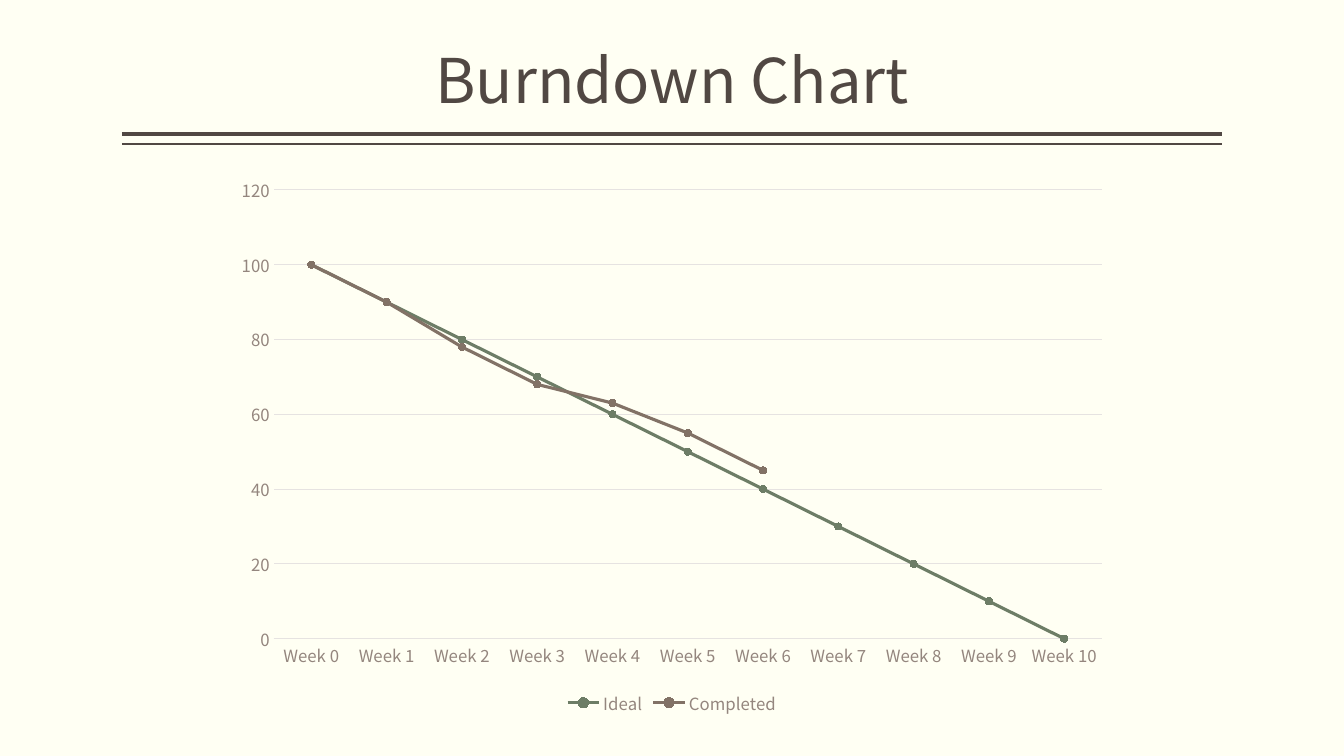
from lxml import etree
from pptx import Presentation
from pptx.chart.data import CategoryChartData
from pptx.dml.color import RGBColor
from pptx.enum.chart import XL_CHART_TYPE as ChartType
from pptx.enum.chart import XL_LEGEND_POSITION as LegendPosition
from pptx.enum.chart import XL_MARKER_STYLE as MarkerStyle
from pptx.enum.chart import XL_TICK_MARK as TickMark
from pptx.enum.shapes import MSO_CONNECTOR as Connector
from pptx.enum.text import MSO_ANCHOR as Anchor
from pptx.enum.text import PP_ALIGN as Align
from pptx.oxml.ns import qn
from pptx.util import Cm, Pt

COLORS = {
    "background": "FFFFF3",
    "text": "514843",
    "label": "94867E",
    "grid": "E6E3E1",
    "Ideal": "6D7D66",
    "Completed": "827266",
}
FONT = "Noto Sans CJK KR"
PROGRESS = {
    "Ideal": list(range(100, -1, -10)),
    "Completed": [100, 90, 78, 68, 63, 55, 45] + [None] * 4,
}


def color(name):
    return RGBColor.from_string(COLORS[name])


class SlideBuilder:
    def __init__(self, slide):
        self.slide = slide
        fill = slide.background.fill
        fill.solid()
        fill.fore_color.rgb = color("background")

    def style_font(self, font, size, color_name):
        font.name = FONT
        font.size = Pt(size)
        font.color.rgb = color(color_name)

    def style_line(self, line, width, color_name):
        line.color.rgb = color(color_name)
        line.width = Pt(width)

    def title(self, text, left, top, width, height):
        title = self.slide.shapes.title
        title.left, title.top = Cm(left), Cm(top)
        title.width, title.height = Cm(width), Cm(height)
        frame = title.text_frame
        frame.word_wrap = True
        frame.vertical_anchor = Anchor.MIDDLE
        paragraph = frame.paragraphs[0]
        paragraph.alignment = Align.CENTER
        run = paragraph.add_run()
        run.text = text
        self.style_font(run.font, 44, "text")

    def rule(self, left, right, y, width):
        connector = self.slide.shapes.add_connector(
            Connector.STRAIGHT, Cm(left), Cm(y), Cm(right), Cm(y))
        self.style_line(connector.line, width, "text")
        properties = connector._element.find(qn("p:spPr"))
        etree.SubElement(properties, qn("a:effectLst"))

    def line_chart(self, categories, series_values, left, top, width, height):
        data = CategoryChartData()
        data.categories = categories
        for name, values in series_values.items():
            data.add_series(name, values)
        chart = self.slide.shapes.add_chart(
            ChartType.LINE_MARKERS, Cm(left), Cm(top), Cm(width), Cm(height), data).chart
        chart.has_title = False
        self.style_font(chart.font, 10, "text")
        chart.has_legend = True
        chart.legend.position = LegendPosition.BOTTOM
        chart.legend.include_in_layout = False
        self.style_font(chart.legend.font, 12, "label")
        self.axes(chart)
        chart.plots[0].vary_by_categories = False
        for series in chart.plots[0].series:
            self.series(series)

    def axes(self, chart):
        for axis in (chart.category_axis, chart.value_axis):
            axis.major_tick_mark = axis.minor_tick_mark = TickMark.NONE
            self.style_font(axis.tick_labels.font, 12, "label")
        self.style_line(chart.category_axis.format.line, 0.75, "grid")
        value_axis = chart.value_axis
        value_axis.minimum_scale, value_axis.maximum_scale = 0, 120
        value_axis.major_unit = 20
        value_axis.format.line.fill.background()
        value_axis.has_major_gridlines = True
        self.style_line(value_axis.major_gridlines.format.line, 0.75, "grid")

    def series(self, series):
        series.smooth = False
        self.style_line(series.format.line, 2.25, series.name)
        marker = series.marker
        marker.style = MarkerStyle.CIRCLE
        marker.size = 5
        marker.format.fill.solid()
        marker.format.fill.fore_color.rgb = color(series.name)
        self.style_line(marker.format.line, 0.75, series.name)


def main():
    presentation = Presentation()
    presentation.slide_width, presentation.slide_height = Cm(33.87), Cm(19.05)
    title_only = presentation.slide_layouts[5]
    builder = SlideBuilder(presentation.slides.add_slide(title_only))
    for y, width in ((3.38, 3), (3.63, 1)):
        builder.rule(3.07, 30.8, y, width)
    builder.title("Burndown Chart", 3.23, 0.91, 27.43, 2.13)
    weeks = [f"Week {number}" for number in range(11)]
    builder.line_chart(weeks, PROGRESS, 5.64, 4.19, 22.58, 13.94)
    presentation.save("out.pptx")


if __name__ == "__main__":
    main()
